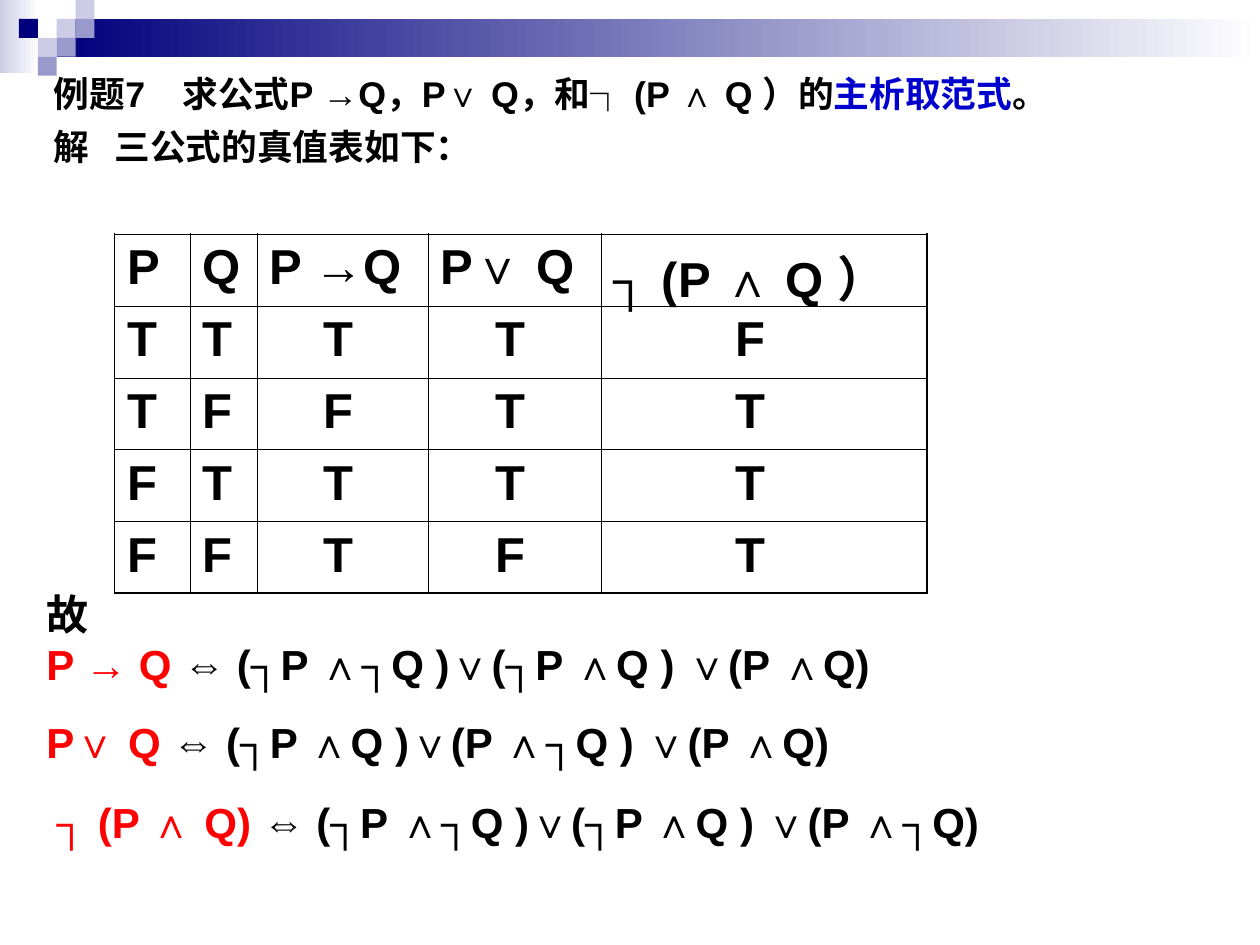
from dataclasses import dataclass

from lxml import etree
from pptx import Presentation
from pptx.dml.color import RGBColor
from pptx.enum import shapes
from pptx.oxml import ns
from pptx.util import Inches, Pt


@dataclass(frozen=True)
class Theme:
    font: str = "Arial"
    ink: str = "000000"
    topic: str = "0000CC"
    formula: str = "FF0000"
    navy: str = "00007D"
    violet: str = "9999CC"
    pale: str = "CCCCE6"
    paper: str = "FFFFFF"
    body_size: float = 20.4
    formula_size: float = 24
    table_size: float = 28
    outer_line: float = 1.08
    inner_line: float = 0.45


def write(paragraph, content, *, size, color, font, bold=True):
    """Add one run to a paragraph."""
    run = paragraph.add_run()
    run.text = content
    run.font.name = font
    run.font.size = Pt(size)
    run.font.bold = bold
    run.font.color.rgb = RGBColor.from_string(color)


class SlideBuilder:
    def __init__(self, slide, theme):
        self.slide = slide
        self.theme = theme

    def block(self, left, top, width, height, color, fade_to=None):
        shape = self.slide.shapes.add_shape(
            shapes.MSO_SHAPE.RECTANGLE,
            Inches(left), Inches(top), Inches(width), Inches(height))
        shape.shadow.inherit = False
        shape.line.fill.background()
        if fade_to:
            shape.fill.gradient()
            shape.fill.gradient_angle = 0
            for stop, stop_color in zip(shape.fill.gradient_stops, (color, fade_to)):
                stop.color.rgb = RGBColor.from_string(stop_color)
        else:
            shape.fill.solid()
            shape.fill.fore_color.rgb = RGBColor.from_string(color)

    def text(self, left, top, width, height, lines, size, space_before=0, tabs=()):
        """Each line is a list of (text, color) runs; tabs gives one stop per line."""
        box = self.slide.shapes.add_textbox(
            Inches(left), Inches(top), Inches(width), Inches(height))
        frame = box.text_frame
        frame.word_wrap = True
        for index, runs in enumerate(lines):
            paragraph = frame.add_paragraph() if index else frame.paragraphs[0]
            if tabs:
                properties = paragraph._p.get_or_add_pPr()
                tab_list = etree.SubElement(properties, ns.qn("a:tabLst"))
                etree.SubElement(tab_list, ns.qn("a:tab"),
                                 pos=str(Inches(tabs[index])), algn="l")
            if index and space_before:
                paragraph.space_before = Pt(space_before)
            for content, color in runs:
                write(paragraph, content, size=size, color=color, font=self.theme.font)

    def border(self, cell, side, width):
        line = etree.SubElement(cell._tc.get_or_add_tcPr(), ns.qn(f"a:ln{side}"),
                                w=str(Pt(width)))
        fill = etree.SubElement(line, ns.qn("a:solidFill"))
        etree.SubElement(fill, ns.qn("a:srgbClr"), val=self.theme.ink)

    def table(self, left, top, widths, row_height, rows, indents):
        """Indents shift the values below the header, one per column."""
        theme = self.theme
        last_row, last_column = len(rows) - 1, len(widths) - 1
        table = self.slide.shapes.add_table(
            len(rows), len(widths), Inches(left), Inches(top),
            Inches(sum(widths)), Inches(row_height * len(rows))).table
        table.first_row = table.horz_banding = False
        for column, width in zip(table.columns, widths):
            column.width = Inches(width)
        for r, values in enumerate(rows):
            table.rows[r].height = Inches(row_height)
            for c, value in enumerate(values):
                cell = table.cell(r, c)
                cell.margin_left = Inches(0.1 + (indents[c] if r else 0))
                outer = {"L": c == 0, "R": c == last_column,
                         "T": r == 0, "B": r == last_row}
                for side, is_outer in outer.items():
                    self.border(cell, side,
                                theme.outer_line if is_outer else theme.inner_line)
                cell.fill.background()
                write(cell.text_frame.paragraphs[0], value, size=theme.table_size,
                      color=theme.ink, font=theme.font)


def main():
    theme = Theme()
    presentation = Presentation()
    presentation.slide_width, presentation.slide_height = Inches(10), Inches(7.5)
    slide = presentation.slides.add_slide(presentation.slide_layouts[6])
    builder = SlideBuilder(slide, theme)

    builder.block(0, 0, 0.31, 0.58, theme.pale, fade_to=theme.paper)
    builder.block(0.45, 0.15, 9.55, 0.3, theme.navy, fade_to=theme.paper)
    unit = 0.15
    mosaic = [(3, 1, theme.pale), (4, 0, theme.pale), (4, 1, theme.violet),
              (2, 2, theme.pale), (1, 1, theme.navy), (3, 2, theme.violet),
              (2, 3, theme.violet)]
    for column, row, color in mosaic:
        builder.block(column * unit, row * unit, unit, unit, color)

    builder.text(0.33, 0.52, 9.15, 1.18, [
        [("例题7\t求公式P →Q，P∨ Q，和┐ (P ∧ Q ）的", theme.ink),
         ("主析取范式", theme.topic), ("。", theme.ink)],
        [("解\t三公式的真值表如下：", theme.ink)],
    ], theme.body_size, space_before=6, tabs=(1.02, 0.48))

    builder.table(0.91, 1.86, [0.6, 0.53, 1.36, 1.37, 2.59], 0.57, [
        ["P", "Q", "P →Q", "P∨ Q", "┐ (P ∧ Q ）"],
        *("TTTTF", "TFFTT", "FTTTT", "FFTFT"),
    ], indents=[0, 0, 0.43, 0.43, 0.97])

    formulas = [
        (0.27, 4.62, 7.4, 0.9, ["故"], "P → Q ", "⇔ (┐P ∧┐Q )∨(┐P ∧Q ) ∨(P ∧Q)"),
        (0.27, 5.64, 7.32, 0.5, [], "P∨ Q ", "⇔ (┐P ∧Q )∨(P ∧┐Q ) ∨(P ∧Q)"),
        (0.35, 6.27, 8.19, 0.5, [], "┐ (P ∧ Q) ", "⇔ (┐P ∧┐Q )∨(┐P ∧Q ) ∨(P ∧┐Q)"),
    ]
    for left, top, width, height, lead, formula, normal_form in formulas:
        lines = [[(word, theme.ink)] for word in lead]
        lines.append([(formula, theme.formula), (normal_form, theme.ink)])
        builder.text(left, top, width, height, lines, theme.formula_size)

    presentation.save("out.pptx")


if __name__ == "__main__":
    main()
